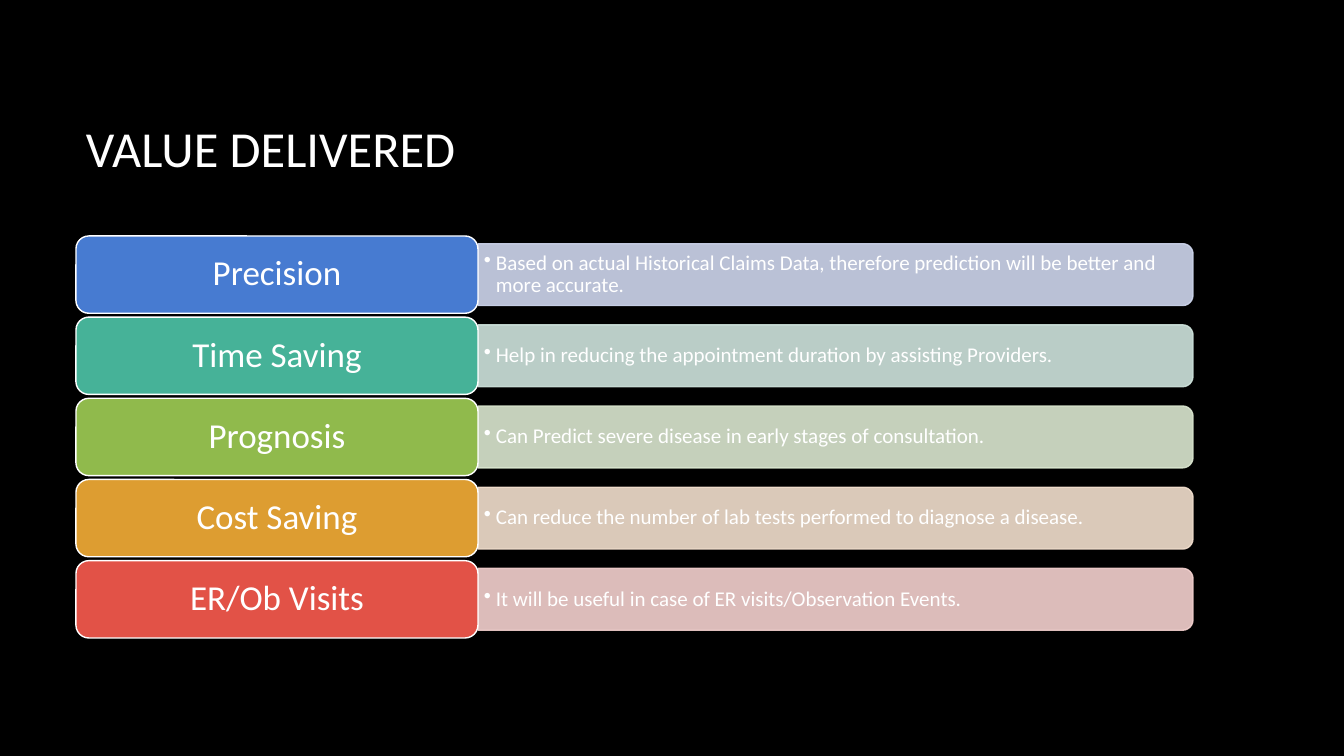
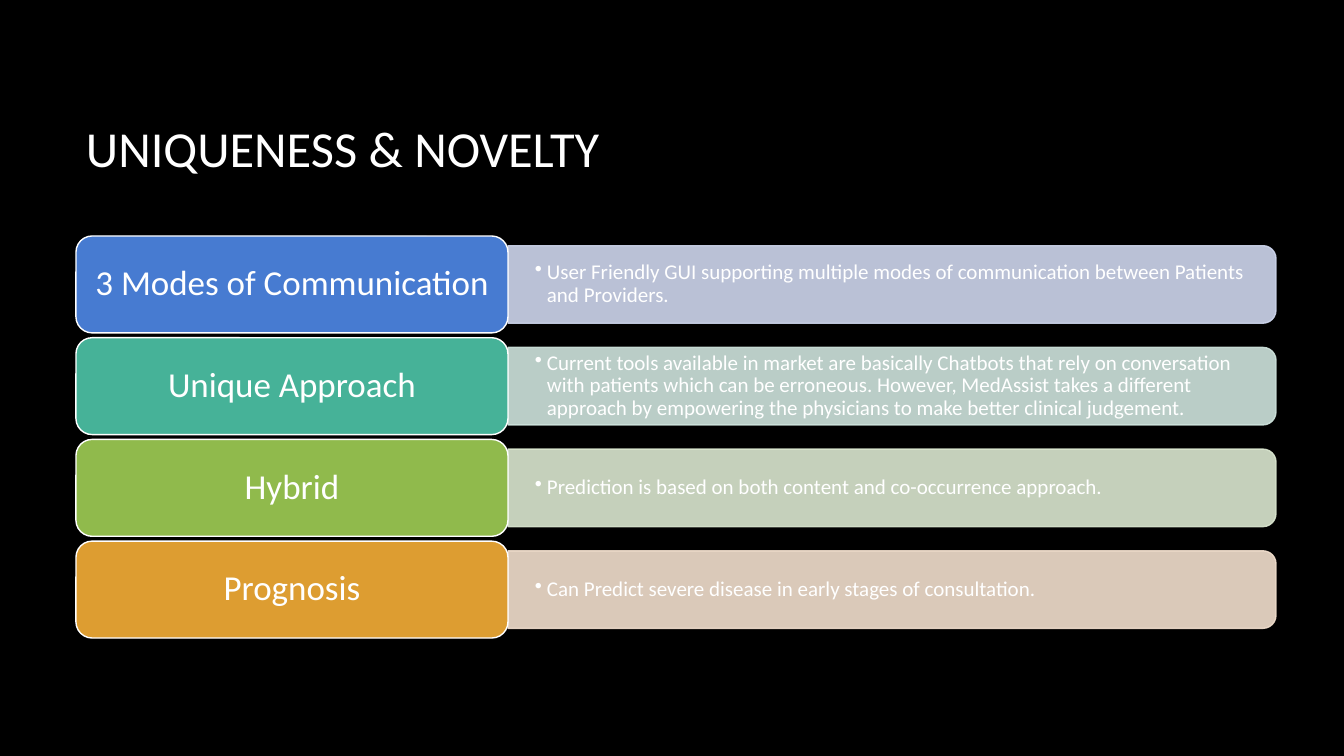
"""Build two slides of labelled value rows on black."""
from lxml import etree
from pptx import Presentation
from pptx import util as u
from pptx.dml.color import RGBColor
from pptx.enum import shapes, text
from pptx.oxml import ns

SCALE = 12192000 / 1344
FONT = "Calibri"
BLACK = RGBColor(0x00, 0x00, 0x00)
WHITE = RGBColor(0xFF, 0xFF, 0xFF)
ROW_COLOURS = [
    (RGBColor(0x47, 0x7B, 0xD1), RGBColor(0xCF, 0xD7, 0xEE)),
    (RGBColor(0x46, 0xB2, 0x98), RGBColor(0xCF, 0xE4, 0xDD)),
    (RGBColor(0x90, 0xBA, 0x4C), RGBColor(0xDB, 0xE7, 0xD0)),
    (RGBColor(0xDD, 0x9D, 0x31), RGBColor(0xF2, 0xDF, 0xCE)),
    (RGBColor(0xE2, 0x52, 0x47), RGBColor(0xF4, 0xD1, 0xCF)),
]
LEFT, ROWS_TOP, ROWS_HEIGHT = 76, 236, 402
GAP_RATIO = 0.05
BAR_RATIO = 0.8

VALUE_ROWS = [
    ("Precision", "Based on actual Historical Claims Data, therefore prediction "
                  "will be better and more accurate."),
    ("Time Saving", "Help in reducing the appointment duration by assisting Providers."),
    ("Prognosis", "Can Predict severe disease in early stages of consultation."),
    ("Cost Saving", "Can reduce the number of lab tests performed to diagnose a disease."),
    ("ER/Ob Visits", "It will be useful in case of ER visits/Observation Events."),
]
NOVELTY_ROWS = [
    ("3 Modes of Communication", "User Friendly GUI supporting multiple modes of "
                                 "communication between Patients and Providers."),
    ("Unique Approach", "Current tools available in market are basically Chatbots that rely "
                        "on conversation with patients which can be erroneous. However, "
                        "MedAssist takes a different approach by empowering the physicians "
                        "to make better clinical judgement."),
    ("Hybrid", "Prediction is based on both content and co-occurrence approach."),
    ("Prognosis", "Can Predict severe disease in early stages of consultation."),
]


def px(value):
    return u.Emu(round(value * SCALE))


def box(left, top, width, height):
    return [px(value) for value in (left, top, width, height)]


def write(shape, words, size, align=text.PP_ALIGN.LEFT, insets=(10, 5), spacing=1.0):
    frame = shape.text_frame
    frame.word_wrap = True
    frame.vertical_anchor = text.MSO_ANCHOR.MIDDLE
    frame.margin_left = frame.margin_right = px(insets[0])
    frame.margin_top = frame.margin_bottom = px(insets[1])
    paragraph = frame.paragraphs[0]
    paragraph.alignment = align
    paragraph.line_spacing = spacing
    run = paragraph.add_run()
    run.text = words
    run.font.name = FONT
    run.font.size = u.Pt(size)
    run.font.color.rgb = WHITE
    return paragraph


def add_bullet(paragraph, indent):
    properties = paragraph._p.get_or_add_pPr()
    properties.set("marL", str(px(indent)))
    properties.set("indent", str(-px(indent)))
    etree.SubElement(properties, ns.qn("a:buChar")).set("char", "\u2022")


def add_block(slide, kind, area, fill, line):
    shape = slide.shapes.add_shape(kind, *box(*area))
    shape.shadow.inherit = False
    shape.fill.solid()
    shape.fill.fore_color.rgb = fill
    shape.line.color.rgb = line
    shape.line.width = u.Pt(1)
    return shape


def add_bar(slide, left, top, width, height, colour):
    turned = (left + (width - height) / 2, top + (height - width) / 2, height, width)
    bar = add_block(slide, shapes.MSO_SHAPE.ROUND_2_SAME_RECTANGLE, turned, colour, colour)
    bar.rotation = 90
    for tint in bar._element.spPr.iter(ns.qn("a:srgbClr")):
        etree.SubElement(tint, ns.qn("a:alpha")).set("val", "90000")


def add_row(slide, top, height, label_width, bar_width, insets, colours, row):
    strong, pale = colours
    label, detail = row
    bar_left = LEFT + label_width
    bar_height = height * BAR_RATIO
    bar_top = top + (height - bar_height) / 2
    add_bar(slide, bar_left, bar_top, bar_width, bar_height, pale)
    detail_box = slide.shapes.add_textbox(*box(bar_left, bar_top, bar_width - 4, bar_height))
    add_bullet(write(detail_box, detail, 15, insets=insets, spacing=0.9), 12)
    area = (LEFT, top, label_width, height)
    label_box = add_block(slide, shapes.MSO_SHAPE.ROUNDED_RECTANGLE, area, strong, WHITE)
    write(label_box, label, 25, text.PP_ALIGN.CENTER, spacing=0.9)


def add_slide(presentation, title, rows, label_width, bar_width, insets):
    slide = presentation.slides.add_slide(presentation.slide_layouts[6])
    slide.background.fill.solid()
    slide.background.fill.fore_color.rgb = BLACK
    write(slide.shapes.add_textbox(*box(LEFT, 67, 1117, 160)), title, 36)
    height = ROWS_HEIGHT / (len(rows) + (len(rows) - 1) * GAP_RATIO)
    for index, (colours, row) in enumerate(zip(ROW_COLOURS, rows)):
        top = ROWS_TOP + index * height * (1 + GAP_RATIO)
        add_row(slide, top, height, label_width, bar_width, insets, colours, row)


def main():
    presentation = Presentation()
    presentation.slide_width, presentation.slide_height = px(1344), px(756)
    add_slide(presentation, "VALUE DELIVERED", VALUE_ROWS, 402, 715, (6, 3))
    add_slide(presentation, "UNIQUENESS & NOVELTY", NOVELTY_ROWS, 432, 768, (27, 14))
    presentation.save("out.pptx")


main()
